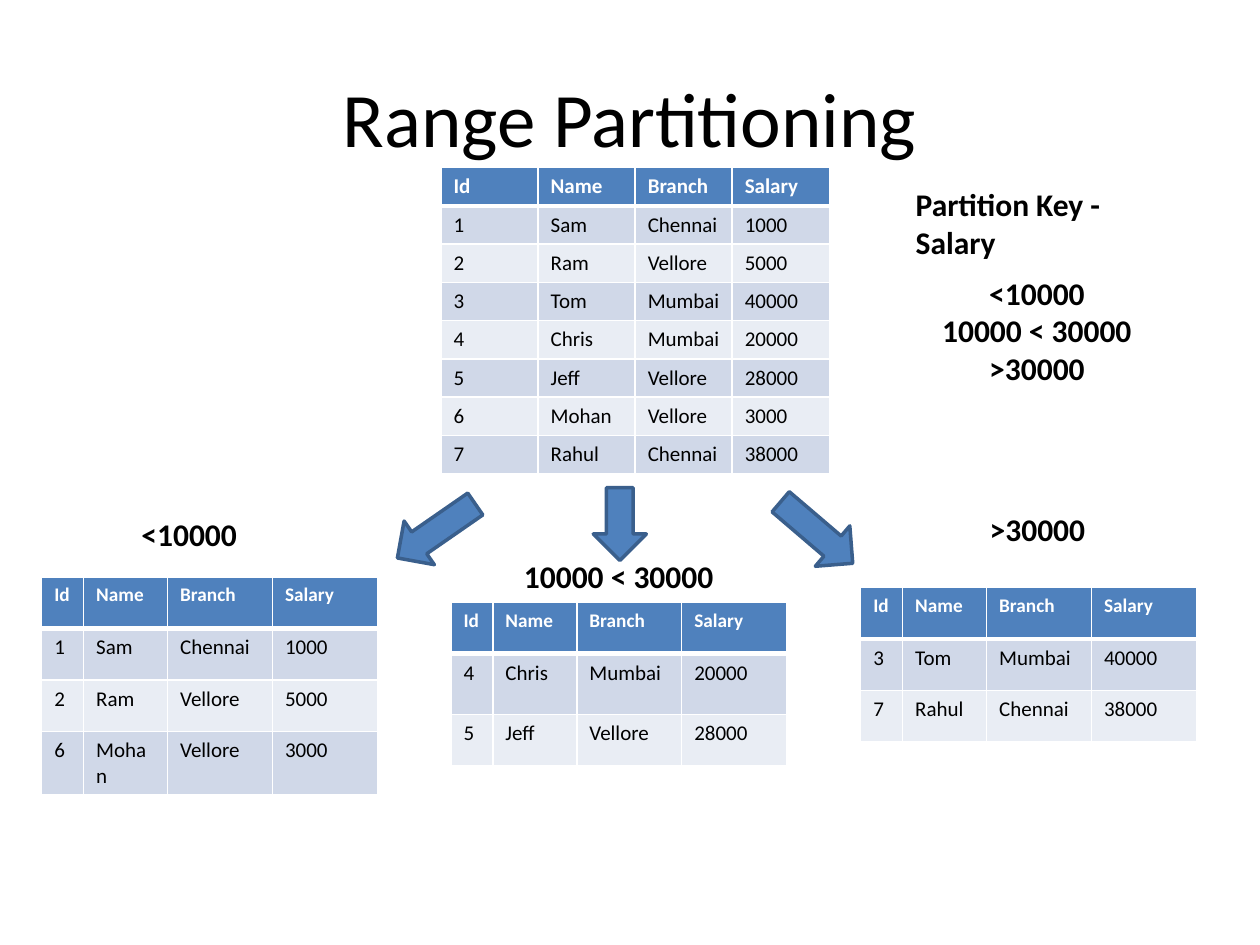
from dataclasses import dataclass

from lxml.etree import SubElement
from pptx import Presentation
from pptx.dml.color import RGBColor
from pptx.enum.shapes import MSO_SHAPE
from pptx.enum.text import MSO_ANCHOR, MSO_AUTO_SIZE, PP_ALIGN
from pptx.oxml.ns import qn
from pptx.util import Cm, Pt


@dataclass(frozen=True)
class Theme:
    font: str = "Calibri"
    ink: str = "000000"
    paper: str = "FFFFFF"
    accent: str = "4F81BD"
    outline: str = "3A5F8C"
    bands: tuple = ("D0D8E8", "E9EDF4")
    title: int = 44
    label: int = 18
    cell: int = 12
    small_header: int = 11
    rule: int = 1
    header_rule: int = 3
    arrow_line: int = 2


@dataclass(frozen=True)
class Box:
    left: float
    top: float
    width: float
    height: float = 0

    def inner(self, left, top, width, height):
        return Box(self.left + left, self.top + top, width, height)

    def lengths(self):
        return [Cm(value) for value in (self.left, self.top, self.width, self.height)]


THEME = Theme()
COLUMNS = ("Id", "Name", "Branch", "Salary")
EMPLOYEES = (
    (1, "Sam", "Chennai", 1000),
    (2, "Ram", "Vellore", 5000),
    (3, "Tom", "Mumbai", 40000),
    (4, "Chris", "Mumbai", 20000),
    (5, "Jeff", "Vellore", 28000),
    (6, "Mohan", "Vellore", 3000),
    (7, "Rahul", "Chennai", 38000),
)
LABEL_WIDTH, LABEL_HEIGHT = 6.77, 1.02
PARTITION_ROW, PARTITION_COLUMNS = 1.04, (2, 4, 5, 5)
PARTITIONS = (
    ("<10000", range(0, 10000), Box(0.84, 11.63, 6.77), (-0.41, -1.37), {}),
    ("10000 < 30000", range(10000, 30000), Box(9.09, 12.14, 6.77), (0, -1.04), {1: 1.22}),
    (">30000", range(30000, 100000), Box(17.35, 11.84, 6.77), (0.18, -1.68), {}),
)
ARROWS = (
    (Box(8.26, 9.75, 1.07, 1.91), 55.3),
    (Box(11.96, 9.83, 1.07, 1.47), 0),
    (Box(15.93, 9.78, 1.07, 1.91), 310.5),
)


def format_para(para, size, color=THEME.ink, bold=False, align=PP_ALIGN.LEFT):
    para.alignment = align
    values = {"name": THEME.font, "size": Pt(size), "bold": bold}
    for span in para.runs:
        for name, value in values.items():
            setattr(span.font, name, value)
        span.font.color.rgb = RGBColor.from_string(color)


def add_title(page, box, text):
    title = page.shapes.title
    for name, value in zip(("left", "top", "width", "height"), box.lengths()):
        setattr(title, name, value)
    title.text_frame.text = text
    title.text_frame.vertical_anchor = MSO_ANCHOR.MIDDLE
    format_para(title.text_frame.paragraphs[0], THEME.title, align=PP_ALIGN.CENTER)


def add_label(page, box, lines, align=PP_ALIGN.CENTER):
    frame = page.shapes.add_textbox(*box.lengths()).text_frame
    frame.word_wrap = True
    frame.auto_size = MSO_AUTO_SIZE.SHAPE_TO_FIT_TEXT
    frame.text = "\n".join(lines)
    for para in frame.paragraphs:
        format_para(para, THEME.label, bold=True, align=align)


def add_borders(cell, top, bottom):
    properties = cell._tc.get_or_add_tcPr()
    widths = {"lnL": THEME.rule, "lnR": THEME.rule, "lnT": top, "lnB": bottom}
    for name, width in widths.items():
        line = SubElement(properties, qn(f"a:{name}"), w=str(Pt(width)))
        fill = SubElement(line, qn("a:solidFill"))
        SubElement(fill, qn("a:srgbClr"), val=THEME.paper)


def add_employee_table(page, box, employees, shares, heights, header_size):
    rows = (COLUMNS, *employees)
    table = page.shapes.add_table(len(rows), len(COLUMNS), *box.lengths()).table
    for column, share in zip(table.columns, shares):
        column.width = Cm(box.width * share / sum(shares))
    for index, (values, height) in enumerate(zip(rows, heights)):
        table.rows[index].height = Cm(height)
        header = index == 0
        top = THEME.header_rule if index == 1 else THEME.rule
        bottom = THEME.header_rule if header else THEME.rule
        fill = THEME.accent if header else THEME.bands[(index - 1) % 2]
        size = header_size if header else THEME.cell
        color = THEME.paper if header else THEME.ink
        for cell, value in zip(table.rows[index].cells, values):
            add_borders(cell, top, bottom)
            cell.fill.solid()
            cell.fill.fore_color.rgb = RGBColor.from_string(fill)
            cell.text = str(value)
            format_para(cell.text_frame.paragraphs[0], size, color, header)


def add_partition(page, box, label, salaries, label_offset, special_rows):
    employees = [employee for employee in EMPLOYEES if employee[-1] in salaries]
    heights = [special_rows.get(row, PARTITION_ROW) for row in range(len(employees) + 1)]
    table_box = box.inner(0, 0, box.width, sum(heights))
    add_employee_table(
        page, table_box, employees, PARTITION_COLUMNS, heights, THEME.small_header
    )
    add_label(page, box.inner(*label_offset, LABEL_WIDTH, LABEL_HEIGHT), [label])


def add_arrow(page, box, rotation):
    arrow = page.shapes.add_shape(MSO_SHAPE.DOWN_ARROW, *box.lengths())
    arrow.rotation = rotation
    arrow.shadow.inherit = False
    arrow.fill.solid()
    arrow.fill.fore_color.rgb = RGBColor.from_string(THEME.accent)
    arrow.line.color.rgb = RGBColor.from_string(THEME.outline)
    arrow.line.width = Pt(THEME.arrow_line)


def add_partition_key(page, box):
    add_label(page, box.inner(0.69, 0, 5.08, 1.8), ["Partition Key - Salary"], PP_ALIGN.LEFT)
    ranges = [partition[0] for partition in PARTITIONS]
    add_label(page, box.inner(0, 1.78, LABEL_WIDTH, 4.11), ranges)


def main():
    deck = Presentation()
    deck.slide_width, deck.slide_height = Cm(25.4), Cm(19.05)
    page = deck.slides.add_slide(deck.slide_layouts[5])
    add_title(page, Box(1.27, 0.76, 22.86, 3.18), "Range Partitioning")
    heights = [0.77] * (len(EMPLOYEES) + 1)
    source_box = Box(8.89, 3.38, 7.83, sum(heights))
    add_employee_table(page, source_box, EMPLOYEES, (1, 1, 1, 1), heights, THEME.cell)
    add_partition_key(page, Box(17.52, 3.61, 6.77, 5.89))
    for box, rotation in ARROWS:
        add_arrow(page, box, rotation)
    for label, salaries, box, label_offset, special_rows in PARTITIONS:
        add_partition(page, box, label, salaries, label_offset, special_rows)
    deck.save("out.pptx")


if __name__ == "__main__":
    main()
